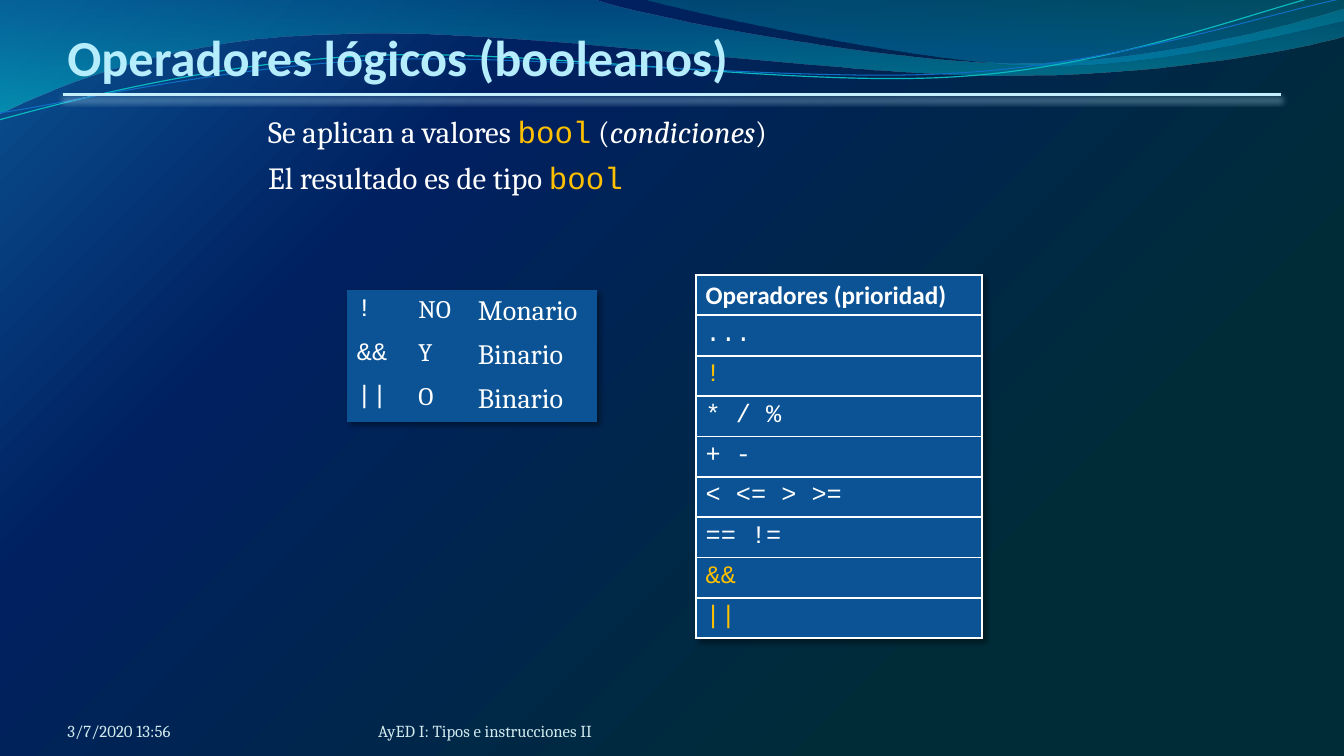
from math import cos, radians, sin

from lxml.etree import SubElement
from pptx import Presentation
from pptx.dml.color import RGBColor
from pptx.enum.shapes import MSO_CONNECTOR
from pptx.enum.text import MSO_ANCHOR
from pptx.oxml import parse_xml
from pptx.oxml.ns import nsdecls, qn
from pptx.util import Cm, Pt

WHITE = RGBColor(0xFF, 0xFF, 0xFF)
AMBER = RGBColor(0xFF, 0xC0, 0x00)
ICE = RGBColor(0xB5, 0xED, 0xFD)
RULE = RGBColor(0xC4, 0xEF, 0xFF)
FOOTER = RGBColor(0xD1, 0xEA, 0xEE)
CELL = RGBColor(0x0B, 0x53, 0x94)
NAVY = RGBColor(0x00, 0x20, 0x60)
DEEP = RGBColor(0x00, 0x2C, 0x38)
OUTLINE = RGBColor(0x00, 0x70, 0xC0)
TEAL = RGBColor(0x0A, 0xB8, 0xBF)
BLUE = RGBColor(0x0F, 0x6F, 0xC6)
BLACK = RGBColor(0x00, 0x00, 0x00)
WAVE_STOPS = [(0, RGBColor(0x00, 0x74, 0xA1), 45), (100, RGBColor(0x00, 0xC6, 0xCF), 55)]
CREST_STOPS = [(0, RGBColor(0x00, 0xA1, 0xA9), 30), (80, RGBColor(0x00, 0x8B, 0xBF), 45)]
SANS, SERIF, MONO = "Calibri", "Cambria", "Courier New"
PLAIN_TABLE = "{2D5ABB26-0587-4C30-8999-92F81FD0307C}"
STRAND_TILT = -2.7

WAVE = [
    [(-0.02, -0.02)],
    [(14.91, -0.03)],
    [(16.1, 0.43), (22.48, 1.6), (25.68, 1.6)],
    [(28.91, 1.6), (32.46, 0.66), (33.86, 0.23)],
    [(33.91, 0.91)],
    [(33.3, 1.12), (29.46, 1.93), (25.25, 1.91)],
    [(21.06, 1.91), (12.93, 0.71), (8.71, 0.86)],
    [(4.37, 0.91), (1.55, 2.11), (-0.02, 2.87)],
]
CREST = [
    [(16.23, -0.02)],
    [(17.25, 0.28), (23.09, 1.57), (26.04, 1.65)],
    [(28.98, 1.75), (32.56, 0.81), (33.86, 0.53)],
    [(33.86, 0)],
]
TEAL_STRAND = [
    [(-0.02, 3.02)],
    [(1.63, 2.57), (5.36, 1.57), (9.37, 1.4)],
    [(13.39, 1.22), (20.07, 2.21), (24.13, 1.93)],
    [(28.19, 1.68), (31.8, 0.2), (33.81, -0.25)],
]
BLUE_STRAND = [
    [(0, 2.84)],
    [(1.6, 2.62), (5.54, 1.68), (9.6, 1.5)],
    [(13.64, 1.35), (20.22, 2.11), (24.26, 1.83)],
    [(28.32, 1.57), (31.88, 0.36), (33.88, -0.05)],
]


def gradient_xml(stops, direction):
    marks = "".join(
        f'<a:gs pos="{position * 1000}"><a:srgbClr val="{color}">'
        f'<a:alpha val="{opacity * 1000}"/></a:srgbClr></a:gs>'
        for position, color, opacity in stops
    )
    return f'<a:gradFill {nsdecls("a")} rotWithShape="1"><a:gsLst>{marks}</a:gsLst>{direction}</a:gradFill>'


def shadow(color, opacity, blur, distance, angle):
    return parse_xml(
        f'<a:effectLst {nsdecls("a")}><a:outerShdw blurRad="{Pt(blur)}" dist="{Pt(distance)}" '
        f'dir="{angle * 60000}" algn="tl" rotWithShape="0"><a:srgbClr val="{color}">'
        f'<a:alpha val="{opacity * 1000}"/></a:srgbClr></a:outerShdw></a:effectLst>'
    )


def paint_background(page):
    page.background.fill.solid()
    properties = page.background.fill._xPr
    corner = '<a:path path="circle"><a:fillToRect r="100000" b="100000"/></a:path>'
    stops = [(0, CELL, 100), (28, NAVY, 100), (76, DEEP, 100)]
    properties.replace(properties.find(qn("a:solidFill")), parse_xml(gradient_xml(stops, corner)))


def add_outline(page, segments, close):
    segments = [[(Cm(x), Cm(y)) for x, y in segment] for segment in segments]
    builder = page.shapes.build_freeform(*segments[0][0])
    builder.add_line_segments([segment[-1] for segment in segments[1:]], close=close)
    shape = builder.convert_to_shape()
    shape.shadow.inherit = False
    lines = list(shape._element.spPr.iter(qn("a:lnTo")))
    for line, segment in zip(lines, segments[1:]):
        if len(segment) == 3:
            curve = line.makeelement(qn("a:cubicBezTo"), {})
            for x, y in segment:
                SubElement(curve, qn("a:pt"), x=str(x - shape.left), y=str(y - shape.top))
            line.getparent().replace(line, curve)
    return shape


def add_wave(page, segments, stops):
    wave = add_outline(page, segments, True)
    wave.line.fill.background()
    wave.fill.solid()
    properties = wave._element.spPr
    gradient = parse_xml(gradient_xml(stops, '<a:lin ang="5400000" scaled="0"/>'))
    properties.replace(properties.find(qn("a:solidFill")), gradient)


def level(point, center=(16.9, 1.47)):
    angle = radians(-STRAND_TILT)
    x, y = point[0] - center[0], point[1] - center[1]
    return center[0] + x * cos(angle) - y * sin(angle), center[1] + x * sin(angle) + y * cos(angle)


def add_strand(page, segments, color, width):
    strand = add_outline(page, [[level(point) for point in segment] for segment in segments], False)
    strand.rotation = STRAND_TILT
    strand.fill.background()
    strand.line.color.rgb = color
    strand.line.width = Pt(width)


def add_rule(page):
    rule = page.shapes.add_connector(MSO_CONNECTOR.STRAIGHT, Cm(1.58), Cm(2.39), Cm(32.28), Cm(2.39))
    rule.line.color.rgb = RULE
    rule.line.width = Pt(2.25)
    rule._element.spPr.append(shadow(RULE, 48, 4.5, 3, 90))


def style(span, font, size, color, bold=False, italic=False):
    span.font.name = font
    span.font.size = Pt(size)
    span.font.color.rgb = color
    span.font.bold = bold
    span.font.italic = italic


def add_box(page, left, top, width, height, anchor, margins):
    box = page.shapes.add_textbox(Cm(left), Cm(top), Cm(width), Cm(height))
    frame = box.text_frame
    frame.word_wrap = True
    frame.vertical_anchor = anchor
    frame.margin_left = frame.margin_right = Cm(margins[0])
    frame.margin_top, frame.margin_bottom = Cm(margins[1]), Cm(margins[2])
    return frame


def add_label(page, text, left, top, width, height, font, size, color, bold=False, top_margin=0):
    frame = add_box(page, left, top, width, height, MSO_ANCHOR.BOTTOM, (0, top_margin, 0))
    frame.text = text
    span = frame.paragraphs[0].runs[0]
    style(span, font, size, color, bold)
    return span


def add_title(page, text):
    span = add_label(page, text, 1.7, 0.79, 30.48, 1.4, SANS, 36, ICE, True, 0.13)
    span._r.get_or_add_rPr().insert(0, parse_xml(
        f'<a:ln {nsdecls("a")} w="{Pt(0.75)}"><a:solidFill><a:srgbClr val="{OUTLINE}"/></a:solidFill></a:ln>'
    ))


def add_body(page, lines):
    frame = add_box(page, 5.51, 2.72, 22.86, 14.2, MSO_ANCHOR.TOP, (0.25, 0.13, 0.13))
    for index, line in enumerate(lines):
        para = frame.paragraphs[0] if index == 0 else frame.add_paragraph()
        para.level = 1
        para.space_after = Pt(6)
        para._p.get_or_add_pPr().set("marL", str(Cm(1)))
        for text, font, color, italic in line:
            span = para.add_run()
            span.text = text
            style(span, font, 22, color, italic=italic)


def add_borders(cell):
    properties = cell._tc.get_or_add_tcPr()
    for position, side in enumerate(("a:lnL", "a:lnR", "a:lnT", "a:lnB")):
        border = properties.makeelement(qn(side), {"w": str(Pt(1.5))})
        SubElement(SubElement(border, qn("a:solidFill")), qn("a:srgbClr"), val=str(WHITE))
        properties.insert(position, border)


def add_grid(page, left, top, widths, rows, bordered=False):
    height = 0.82
    frame = page.shapes.add_table(len(rows), len(widths), Cm(left), Cm(top), Cm(sum(widths)), Cm(height * len(rows)))
    table = frame.table
    table.first_row = table.horz_banding = False
    properties = table._tbl.tblPr
    properties.find(qn("a:tableStyleId")).text = PLAIN_TABLE
    properties.insert(0, shadow(BLACK, 40, 4, 3, 45))
    for column, width in zip(table.columns, widths):
        column.width = Cm(width)
    for row_index, row in enumerate(rows):
        table.rows[row_index].height = Cm(height)
        for column_index, (text, *look) in enumerate(row):
            cell = table.cell(row_index, column_index)
            cell.text = text
            para = cell.text_frame.paragraphs[0]
            para.line_spacing = 1.0
            style(para.runs[0], *look)
            cell.fill.solid()
            cell.fill.fore_color.rgb = CELL
            if bordered:
                add_borders(cell)


def main():
    deck = Presentation()
    deck.slide_width, deck.slide_height = Cm(33.87), Cm(19.05)
    page = deck.slides.add_slide(deck.slide_layouts[6])
    paint_background(page)
    add_wave(page, WAVE, WAVE_STOPS)
    add_wave(page, CREST, CREST_STOPS)
    add_strand(page, TEAL_STRAND, TEAL, 0.85)
    add_strand(page, BLUE_STRAND, BLUE, 0.75)
    add_rule(page)
    add_title(page, "Operadores lógicos (booleanos)")
    keyword = ("bool", MONO, AMBER, False)
    add_body(page, [
        [("Se aplican a valores ", SERIF, WHITE, False), keyword, (" (", SERIF, WHITE, False),
         ("condiciones", SERIF, WHITE, True), (")", SERIF, WHITE, False)],
        [("El resultado es de tipo ", SERIF, WHITE, False), keyword],
    ])
    add_label(page, "AyED I: Tipos e instrucciones II", 9.53, 17.65, 20.65, 1.02, SERIF, 12, FOOTER)
    logic = [("!", "NO", "Monario"), ("&&", "Y", "Binario"), ("||", "O", "Binario")]
    add_grid(page, 8.74, 7.32, [1.55, 1.5, 3.25], [
        [(sign, MONO, 18, WHITE), (word, SERIF, 18, WHITE), (arity, SERIF, 20, WHITE)]
        for sign, word, arity in logic
    ])
    signs = ["...", "!", "* / %", "+ -", "< <= > >=", "== !=", "&&", "||"]
    logical = {sign for sign, _, _ in logic}
    priority = [[("Operadores (prioridad)", SANS, 18, WHITE, True)]]
    priority += [[(sign, MONO, 18, AMBER if sign in logical else WHITE)] for sign in signs]
    add_grid(page, 17.53, 6.93, [7.21], priority, bordered=True)
    add_label(page, "3/7/2020 13:56", 1.7, 17.65, 7.9, 1.02, SERIF, 12, FOOTER)
    deck.save("out.pptx")


if __name__ == "__main__":
    main()
